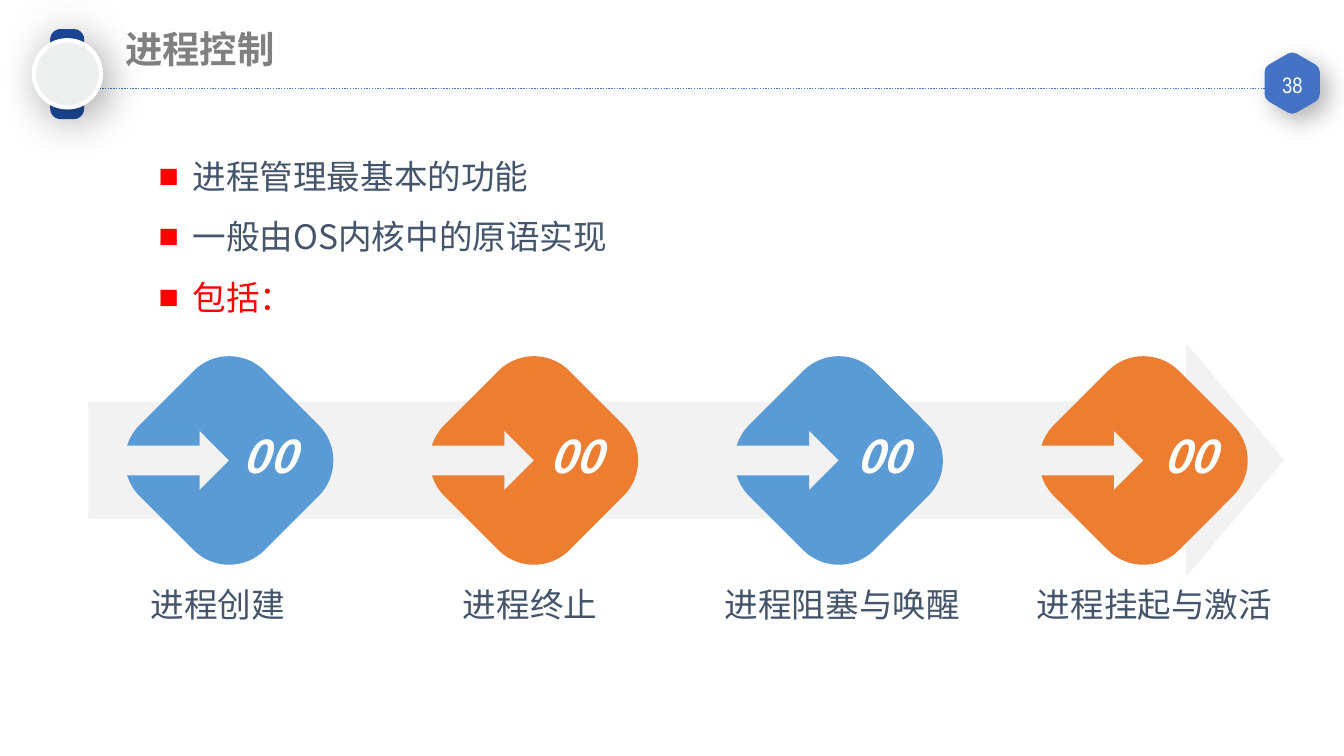
import math

from lxml import etree
from pptx import Presentation
from pptx import util as u
from pptx.dml.color import RGBColor
from pptx.enum import dml, shapes, text
from pptx.oxml.ns import qn

COLORS = {
    "accent": "4472C4", "strap": "1D4999", "dial": "EEF0F0", "white": "FFFFFF",
    "title": "808080", "body": "44546A", "red": "FF0000", "band": "F2F2F2",
    "blue": "5B9BD5", "orange": "ED7D31", "black": "000000",
}
FONT = "Noto Sans CJK SC"
TITLE = {"size": u.Pt(20), "bold": True, "name": FONT}
BODY = {"size": u.Pt(18), "name": FONT}
NUMBER = {"size": u.Pt(24), "bold": True, "italic": True, "name": FONT}
PAGE = {"size": u.Pt(12), "name": "Arial Narrow"}
TIGHT = {"margin_left": u.Cm(0.18), "margin_right": u.Cm(0.18),
         "margin_top": u.Cm(0.1), "margin_bottom": u.Cm(0.1)}
CENTER, LEFT = text.PP_ALIGN.CENTER, text.PP_ALIGN.LEFT
TOP, MIDDLE = text.MSO_ANCHOR.TOP, text.MSO_ANCHOR.MIDDLE

POINTS = [("进程管理最基本的功能", "body"), ("一般由OS内核中的原语实现", "body"),
          ("包括：", "red")]
STEPS = ["进程创建", "进程终止", "进程阻塞与唤醒", "进程挂起与激活"]


def rgb(name):
    return RGBColor.from_string(COLORS[name])


def box(left, top, width, height):
    return [u.Cm(value) for value in (left, top, width, height)]


def set_values(target, values):
    for name, value in values.items():
        setattr(target, name, value)


def child(parent, tag, **attributes):
    return etree.SubElement(parent, qn(tag), attributes)


def paint(shape, fill, line=None, width=1):
    shape.shadow.inherit = False
    shape.fill.solid()
    shape.fill.fore_color.rgb = rgb(fill)
    if line:
        shape.line.color.rgb = rgb(line)
        shape.line.width = u.Pt(width)
    else:
        shape.line.fill.background()
    return shape


def add_shadow(shape, opacity, blur, distance, angle):
    effects = shape._element.spPr.find(qn("a:effectLst"))
    shadow = child(effects, "a:outerShdw", blurRad=str(u.Pt(blur)),
                   dist=str(u.Pt(distance)), dir=str(angle * 60000),
                   algn="ctr", rotWithShape="0")
    color = child(shadow, "a:srgbClr", val=COLORS["black"])
    child(color, "a:alpha", val=str(opacity * 1000))


def add_preset(slide, kind, place, fill, **line):
    return paint(slide.shapes.add_shape(kind, *box(*place)), fill, **line)


def polar(x, y, radius, degrees):
    angle = math.radians(degrees)
    return x + radius * math.cos(angle), y + radius * math.sin(angle)


def arc(x, y, radius, start, end):
    """Line to the start of an arc, then one Bezier curve to its end."""
    handle = radius * 4 / 3 * math.tan(math.radians(end - start) / 4)
    first, last = polar(x, y, radius, start), polar(x, y, radius, end)
    return [(first,), (polar(*first, handle, start + 90),
                       polar(*last, handle, end - 90), last)]


def rounded_corner(reach, radius, direction, sides):
    """Arc of one corner of a regular polygon centred on the origin."""
    half = 180 / sides
    return arc(*polar(0, 0, reach, direction), radius, direction - half, direction + half)


def add_outline(slide, x, y, segments, turn, fill, **line):
    """Segments hold one point for a line, three for a curve."""
    points = [(u.Cm(x + dx), u.Cm(y + dy)) for segment in segments for dx, dy in segment]
    builder = slide.shapes.build_freeform(*points[0])
    builder.add_line_segments(points[1:], close=True)
    shape = builder.convert_to_shape()
    shape.rotation = turn
    commands = iter(list(shape._element.iter(qn("a:moveTo"), qn("a:lnTo"))))
    for segment in segments:
        group = [next(commands) for _ in segment]
        if len(group) == 3:
            curve = etree.Element(qn("a:cubicBezTo"))
            group[0].addprevious(curve)
            for command in group:
                curve.append(command[0])
                command.getparent().remove(command)
    return paint(shape, fill, **line)


def write(paragraph, words, style, color, align=LEFT):
    paragraph.alignment = align
    run = paragraph.add_run()
    run.text = words
    set_values(run.font, style)
    run.font.color.rgb = rgb(color)
    child(run._r.get_or_add_rPr(), "a:ea", typeface=style["name"])


def add_text(slide, place, words, style, color, anchor=TOP):
    frame = slide.shapes.add_textbox(*box(*place)).text_frame
    set_values(frame, {"word_wrap": True, "vertical_anchor": anchor, **TIGHT})
    write(frame.paragraphs[0], words, style, color, CENTER)


def add_title(slide, words):
    title = slide.shapes.title
    set_values(title, dict(zip(("left", "top", "width", "height"),
                               box(2.11, 0.37, 14.63, 1.12))))
    frame = title.text_frame
    set_values(frame, {"word_wrap": True, "vertical_anchor": TOP,
                       "auto_size": text.MSO_AUTO_SIZE.NONE})
    write(frame.paragraphs[0], words, TITLE, "title")
    # Bring the title in front of the header
    slide.shapes._spTree.append(title._element)


def add_header(slide):
    # Dotted rule
    rule = slide.shapes.add_connector(shapes.MSO_CONNECTOR.STRAIGHT,
                                      u.Cm(0.84), u.Cm(1.67), u.Cm(23.95), u.Cm(1.67))
    rule.line.color.rgb = rgb("accent")
    set_values(rule.line, {"width": u.Pt(0.75), "dash_style": dml.MSO_LINE.ROUND_DOT})
    child(rule._element.spPr, "a:effectLst")
    # Page badge
    corners = [segment for direction in range(0, 360, 60)
               for segment in rounded_corner(0.41, 0.15, direction, 6)]
    badge = add_outline(slide, 24.42, 1.57, corners, 90, "accent", line="accent")
    add_shadow(badge, 30, 13, 6, 45)
    add_text(slide, (23.93, 1.27, 0.99, 0.64), "38", PAGE, "white", MIDDLE)
    # Watch
    strap = add_preset(slide, shapes.MSO_SHAPE.ROUNDED_RECTANGLE,
                       (0.95, 0.55, 0.64, 1.7), "strap")
    strap.adjustments[0] = 0.3
    add_shadow(strap, 17, 27, 0, 0)
    dial = add_preset(slide, shapes.MSO_SHAPE.OVAL, (0.64, 0.76, 1.27, 1.27),
                      "dial", line="white", width=2.25)
    add_shadow(dial, 28, 22, 6, 45)


def add_bullets(slide, items):
    frame = slide.shapes.add_textbox(*box(2.75, 2.43, 11.56, 3.33)).text_frame
    frame.word_wrap = True
    for index, (words, color) in enumerate(items):
        paragraph = frame.add_paragraph() if index else frame.paragraphs[0]
        paragraph.line_spacing = 1.5
        properties = paragraph._p.get_or_add_pPr()
        properties.set("marL", str(u.Cm(0.64)))
        properties.set("indent", str(-u.Cm(0.64)))
        child(child(properties, "a:buClr"), "a:srgbClr", val=COLORS["red"])
        child(properties, "a:buFont", typeface="Arial")
        child(properties, "a:buChar", char="■")
        write(paragraph, words, BODY, color)


def add_diamond(slide, x, y, fill):
    """Rounded square on its corner, with an arrow cut in from the left."""
    turn, reach, radius, notch = 45, 1.02, 0.95, 0.28
    segments = [segment for direction in (-90, 0, 90)
                for segment in rounded_corner(reach, radius, direction - turn, 4)]
    cut = math.degrees(math.asin(notch / radius))
    left = polar(0, 0, reach, 180 - turn)
    segments += arc(*left, radius, 135 - turn, 180 - cut - turn)
    for dx, dy in ((-0.56, notch), (-0.56, 0.56), (0, 0), (-0.56, -0.56), (-0.56, -notch)):
        direction = math.degrees(math.atan2(dy, dx)) - turn
        segments.append((polar(0, 0, math.hypot(dx, dy), direction),))
    segments += arc(*left, radius, 180 + cut - turn, 225 - turn)
    add_outline(slide, x, y, segments, turn, fill)


def add_process(slide, steps):
    band = add_preset(slide, shapes.MSO_SHAPE.RIGHT_ARROW, (1.67, 6.48, 22.6, 4.42), "band")
    band.adjustments[1] = 0.42
    for index in range(len(steps)):
        add_diamond(slide, 4.33 + 5.76 * index, 8.7, ("blue", "orange")[index % 2])
    for index, label in enumerate(steps):
        add_text(slide, (1.67 + 5.9 * index, 10.93, 4.9, 0.81), label, BODY, "body")
    for index in range(len(steps)):
        add_text(slide, (4.35 + 5.8 * index, 7.9, 1.47, 1.42), "00", NUMBER, "white", MIDDLE)


def main():
    presentation = Presentation()
    set_values(presentation, {"slide_width": u.Cm(25.4), "slide_height": u.Cm(14.28)})
    slide = presentation.slides.add_slide(presentation.slide_layouts[5])
    add_header(slide)
    add_title(slide, "进程控制")
    add_bullets(slide, POINTS)
    add_process(slide, STEPS)
    presentation.save("out.pptx")


if __name__ == "__main__":
    main()
